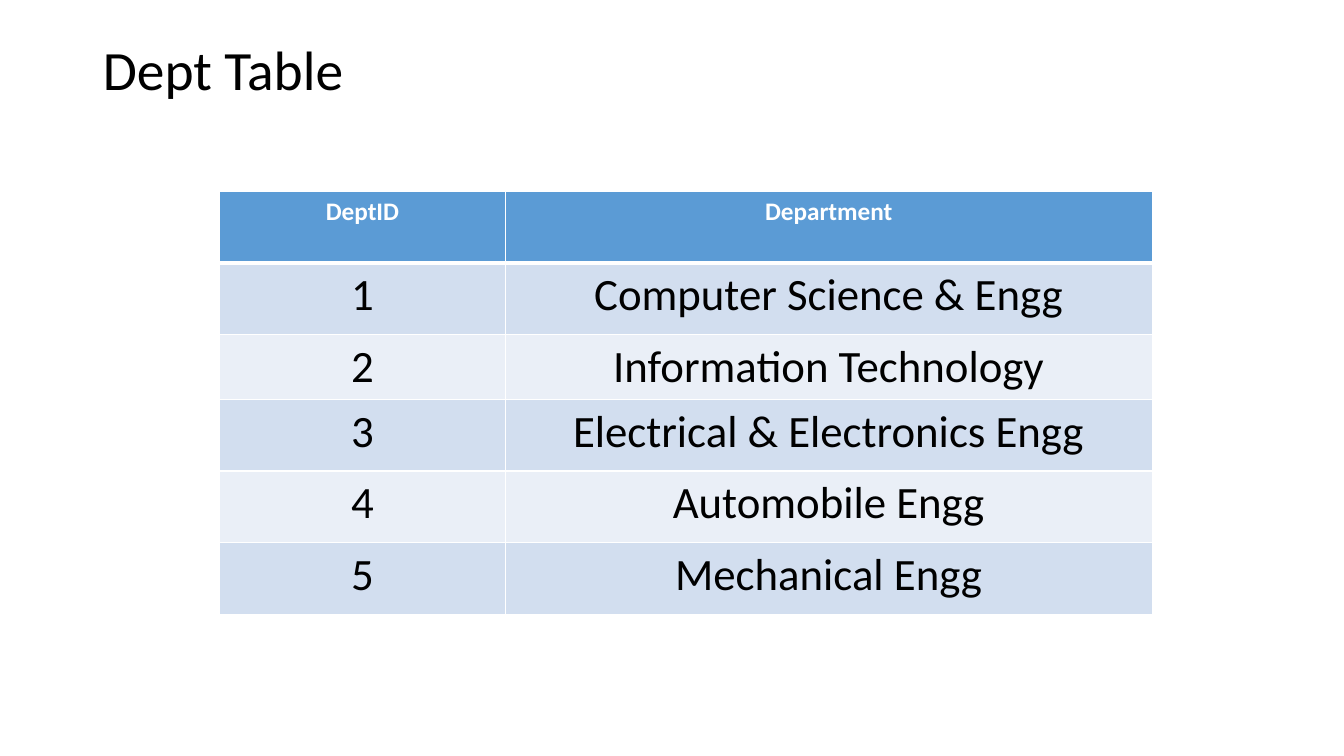
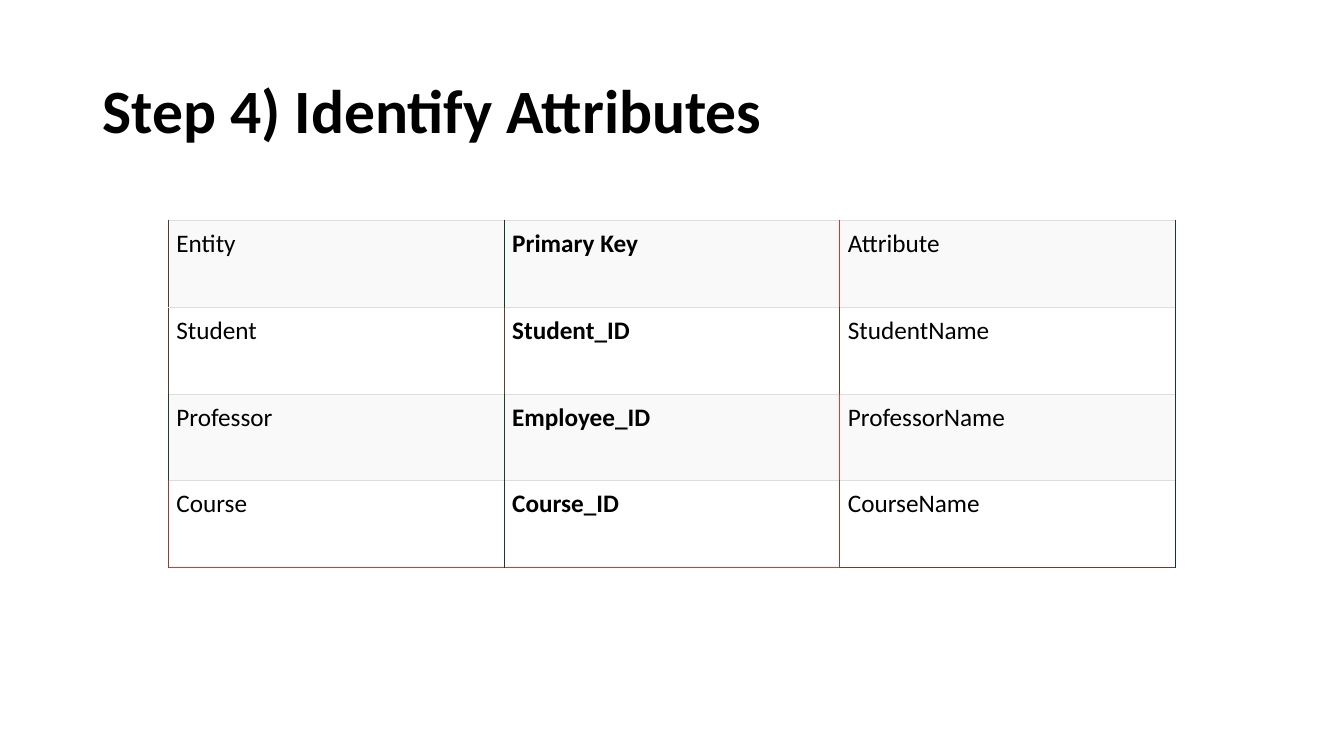
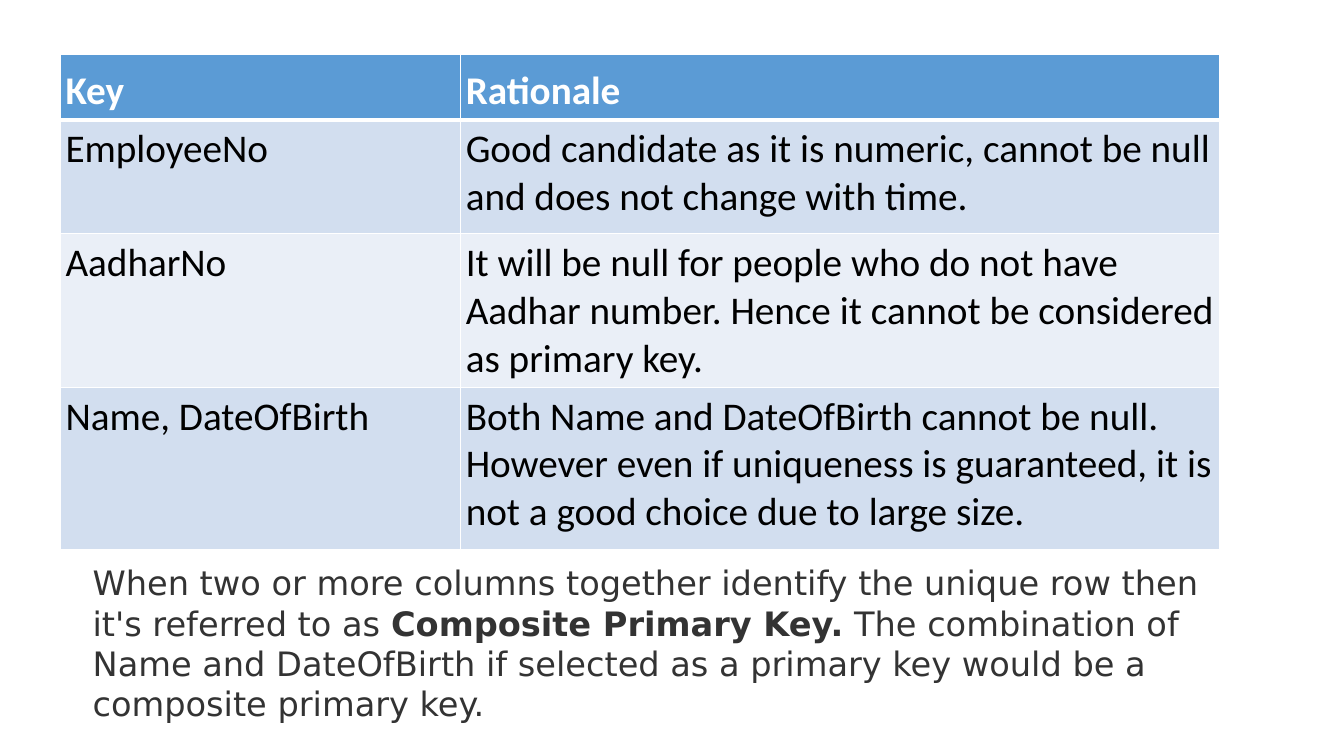
from lxml import etree
from pptx import Presentation
from pptx.dml.color import RGBColor
from pptx.enum.text import MSO_ANCHOR, MSO_AUTO_SIZE, PP_ALIGN
from pptx.oxml.ns import qn
from pptx.util import Pt

EMU_PER_PX = 9144  # 100 px to the inch
TITLE_ONLY, BLANK = 5, 6
LEFT, CENTER = PP_ALIGN.LEFT, PP_ALIGN.CENTER
TOP, MIDDLE, BOTTOM = MSO_ANCHOR.TOP, MSO_ANCHOR.MIDDLE, MSO_ANCHOR.BOTTOM
FIXED, GROW = MSO_AUTO_SIZE.NONE, MSO_AUTO_SIZE.SHAPE_TO_FIT_TEXT

BLACK, WHITE, TEXT_GREY = "000000", "FFFFFF", "333333"
HEADER_BLUE, BAND_DARK, BAND_LIGHT = "5B9BD5", "D2DEEF", "EAEFF7"
STRIPE_GREY, RULE_GREY = "F9F9F9", "DDDDDD"


def px(length):
    return length * EMU_PER_PX


def color(hex_value):
    return RGBColor.from_string(hex_value)


def set_values(target, values):
    for name, value in values.items():
        setattr(target, name, value)


def set_border(cell, side, hex_value, points):
    """Draw one side (L, R, T or B) of a cell; call before filling the cell."""
    properties = cell._tc.get_or_add_tcPr()
    line = etree.SubElement(properties, qn(f"a:ln{side}"), w=str(Pt(points)))
    fill = etree.SubElement(line, qn("a:solidFill"))
    etree.SubElement(fill, qn("a:srgbClr"), val=hex_value)


class Deck:
    """Holds the shared style and the page being built."""

    def __init__(self):
        self.file = Presentation()
        self.file.slide_width, self.file.slide_height = px(1333), px(750)
        self.page = None

    def add_page(self, layout):
        self.page = self.file.slides.add_slide(self.file.slide_layouts[layout])

    def add_span(self, para, text, size, hex_value=BLACK, bold=False, font="Calibri"):
        span = para.add_run()
        span.text = text
        set_values(span.font, {"name": font, "size": Pt(size), "bold": bold})
        span.font.color.rgb = color(hex_value)

    def title(self, text, height, size, bold=False):
        box = self.page.shapes.title
        set_values(box, {"left": px(92), "top": px(40),
                         "width": px(1150), "height": px(height)})
        set_values(box.text_frame, {"auto_size": FIXED, "word_wrap": True,
                                    "vertical_anchor": MIDDLE})
        para = box.text_frame.paragraphs[0]
        set_values(para, {"alignment": LEFT, "line_spacing": 0.9})
        self.add_span(para, text, size, bold=bold)

    def note(self, at, spans, **style):
        """Add a text box from (text, bold) spans."""
        box = self.page.shapes.add_textbox(*map(px, at))
        set_values(box.text_frame, {"word_wrap": True, "auto_size": GROW})
        for text, bold in spans:
            self.add_span(box.text_frame.paragraphs[0], text, bold=bold, **style)

    def table(self, left, top, widths, heights, rows, look, verticals,
              horizontals, align=LEFT, margins=(10, 5)):
        """Add a table; look(row, column) gives fill, anchor and text style.

        verticals[row][edge] and horizontals[edge][column] are (colour, points).
        """
        frame = self.page.shapes.add_table(
            len(rows), len(widths), px(left), px(top),
            px(sum(widths)), px(sum(heights)))
        grid = frame.table
        grid.horz_banding = False
        for column, width in zip(grid.columns, widths):
            column.width = px(width)
        for row, height in zip(grid.rows, heights):
            row.height = px(height)
        side, end = map(px, margins)
        for r, texts in enumerate(rows):
            for c, text in enumerate(texts):
                cell = grid.cell(r, c)
                fill, anchor, style = look(r, c)
                set_values(cell, {"margin_left": side, "margin_right": side,
                                  "margin_top": end, "margin_bottom": end,
                                  "vertical_anchor": anchor})
                set_border(cell, "L", *verticals[r][c])
                set_border(cell, "R", *verticals[r][c + 1])
                set_border(cell, "T", *horizontals[r][c])
                set_border(cell, "B", *horizontals[r + 1][c])
                cell.fill.solid()
                cell.fill.fore_color.rgb = color(fill)
                para = cell.text_frame.paragraphs[0]
                para.alignment = align
                self.add_span(para, text, **style)

    def banded_table(self, left, top, widths, heights, rows, header_size,
                     body_size, header_anchor=TOP, **options):
        """Add a table with a blue header, two band colours and white rules."""
        def look(row, column):
            if row == 0:
                return HEADER_BLUE, header_anchor, {
                    "size": header_size, "hex_value": WHITE, "bold": True}
            return BAND_DARK if row % 2 else BAND_LIGHT, TOP, {"size": body_size}

        verticals = [[(WHITE, 1)] * (len(widths) + 1) for _ in rows]
        horizontals = [[(WHITE, 3 if edge == 1 else 1)] * len(widths)
                       for edge in range(len(rows) + 1)]
        self.table(left, top, widths, heights, rows, look,
                   verticals, horizontals, **options)


def department_page(deck):
    deck.add_page(TITLE_ONLY)
    deck.title("Dept Table", 63, 39.6)
    departments = ["Computer Science & Engg", "Information Technology",
                   "Electrical & Electronics Engg", "Automobile Engg",
                   "Mechanical Engg"]
    rows = [("DeptID", "Department")]
    rows += [(str(number), name) for number, name in enumerate(departments, 1)]
    deck.banded_table(218, 190, [283, 642], [71, 71, 48, 71, 71, 71], rows,
                      18, 32, align=CENTER)


def attributes_page(deck):
    deck.add_page(TITLE_ONLY)
    deck.title("Step 4) Identify Attributes", 145, 44, bold=True)
    rows = [
        ("Entity", "Primary Key", "Attribute"),
        ("Student", "Student_ID", "StudentName"),
        ("Professor", "Employee_ID", "ProfessorName"),
        ("Course", "Course_ID", "CourseName"),
    ]
    edge_colors = [
        ("503B2F", "083B2F", "D0392F", "183A2F"),
        ("503B2F", "683B2F", "683B2F", "103C2F"),
        ("203B2F", "203B2F", "E03B2F", "183A2F"),
        ("983B2F", "183A2F", "983B2F", "083B2F"),
    ]
    verticals = [[(edge, 1) for edge in edges] for edges in edge_colors]
    horizontals = [[(RULE_GREY, 0.75)] * 3 for _ in rows]
    horizontals.append([("D83A2F", 1), ("D83A2F", 1), ("70392F", 1)])

    def look(row, column):
        fill = WHITE if row % 2 else STRIPE_GREY
        return fill, TOP, {"size": 18, "bold": column == 1}

    deck.table(167, 219, [333] * 3, [86] * 4, rows, look,
               verticals, horizontals, margins=(8, 8))


def composite_key_page(deck):
    deck.add_page(BLANK)
    rows = [
        ("Key", "Rationale"),
        ("EmployeeNo", "Good candidate as it is numeric, cannot be null and "
                       "does not change with time."),
        ("AadharNo", "It will be null for people who do not have Aadhar number. "
                     "Hence it cannot be considered as primary key."),
        ("Name, DateOfBirth", "Both Name and DateOfBirth cannot be null. However "
                              "even if uniqueness is guaranteed, it is not a good "
                              "choice due to large size."),
    ]
    deck.banded_table(60, 54, [397, 753], [65, 113, 113, 161], rows, 28, 28,
                      header_anchor=BOTTOM, margins=(5, 5))
    deck.note((82, 553, 1175, 172), [
        ("When two or more columns together identify the unique row then "
         "it's referred to as ", False),
        ("Composite Primary Key.", True),
        (" The combination of Name and DateOfBirth if selected as a primary key "
         "would be a composite primary key.", False),
    ], size=24, hex_value=TEXT_GREY, font="DejaVu Sans")


def main():
    deck = Deck()
    department_page(deck)
    attributes_page(deck)
    composite_key_page(deck)
    deck.file.save("out.pptx")


if __name__ == "__main__":
    main()
